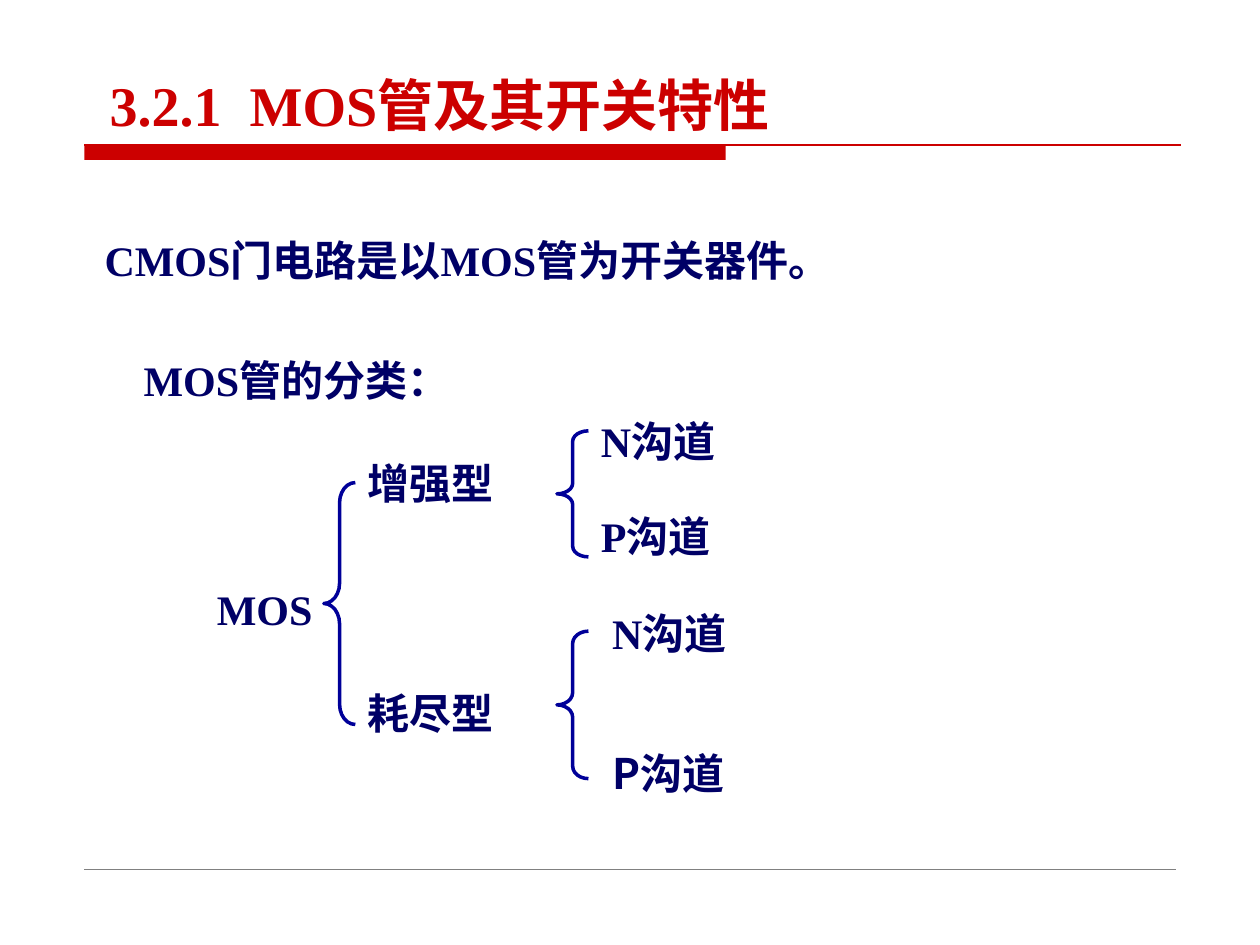
import itertools

import pptx
import pptx.dml.color
import pptx.enum.shapes
import pptx.enum.text
import pptx.oxml
import pptx.oxml.ns
import pptx.util

Inches = pptx.util.Inches
Pt = pptx.util.Pt
RGB = pptx.dml.color.RGBColor.from_string
ALIGN = pptx.enum.text.PP_ALIGN
ANCHOR = pptx.enum.text.MSO_ANCHOR

THEME = {
    "latin": "Times New Roman", "cjk": "Noto Sans CJK SC",
    "title": "CC0000", "text": "000066", "brace": "000099", "footer": "808080",
    "title_size": 32, "text_size": 24,
}

TITLE = ("3.2.1  MOS管及其开关特性", (0.85, 0.55, 5.61, 0.56))
STATEMENTS = [
    ("CMOS门电路是以MOS管为开关器件。", (0.83, 1.86, 8.03, 0.4)),
    ("MOS管的分类：", (1.14, 2.81, 5, 0.4)),
]
ROOT = ("MOS", (1.14, 4.5, 1.92, 0.58))
TYPES = [
    ("增强型", (2.82, 3.5, 2.17, 0.58)),
    ("耗尽型", (2.82, 5.33, 2.23, 0.58)),
]
CHANNELS = [
    ("N沟道", (4.67, 3.17, 2.75, 0.58), THEME["latin"]),
    ("P沟道", (4.67, 3.92, 2.67, 0.58), THEME["latin"]),
    ("N沟道", (4.76, 4.69, 1.49, 0.58), THEME["latin"]),
    ("P沟道", (4.76, 5.8, 2.33, 0.58), THEME["cjk"]),
]
BRACES = [(2.57, 3.83, 1.92), (4.42, 3.42, 1), (4.42, 5.01, 1.17)]
BRACE_WIDTH = 0.25
BRACE_CURVE = 1 / 12
RULE_LEFT, RULE_TOP = 0.67, 1.15

STATEMENT = {
    "frame": {"vertical_anchor": ANCHOR.MIDDLE},
    "paragraph": {"space_before": Pt(15), "alignment": ALIGN.LEFT},
    "insets": (0, 0),
}
LABEL = {
    "frame": {"vertical_anchor": ANCHOR.TOP},
    "paragraph": {"line_spacing": 1.2, "alignment": ALIGN.LEFT},
    "insets": (0.1, 0.05),
}
ROOT_LABEL = {**LABEL, "paragraph": {"line_spacing": 1.2, "alignment": ALIGN.CENTER}}
HEADING = {
    "frame": {"vertical_anchor": ANCHOR.TOP, "word_wrap": False},
    "paragraph": {"alignment": ALIGN.LEFT},
    "insets": (0.02, 0.01),
    "size": THEME["title_size"],
    "color": THEME["title"],
}


def set_all(target, values):
    for name, value in values.items():
        setattr(target, name, value)


def write(sp, text, style, latin=THEME["latin"]):
    tf = sp.text_frame
    dx, dy = (Inches(v) for v in style["insets"])
    set_all(tf, {
        "word_wrap": True,
        "auto_size": pptx.enum.text.MSO_AUTO_SIZE.SHAPE_TO_FIT_TEXT,
        "margin_left": dx, "margin_right": dx,
        "margin_top": dy, "margin_bottom": dy,
        **style["frame"],
    })
    p = tf.paragraphs[0]
    set_all(p, style["paragraph"])
    fonts = lambda char: latin if char.isascii() else THEME["cjk"]
    for font, chars in itertools.groupby(text, fonts):
        r = p.add_run()
        r.text = "".join(chars)
        set_all(r.font, {"name": font, "bold": True,
                         "size": Pt(style.get("size", THEME["text_size"]))})
        r.font.color.rgb = RGB(style.get("color", THEME["text"]))
        ea = pptx.oxml.parse_xml(f'<a:ea {pptx.oxml.ns.nsdecls("a")} typeface="{THEME["cjk"]}"/>')
        r.font._element.find(pptx.oxml.ns.qn("a:latin")).addnext(ea)


def add_text(s, text, box, style, latin=THEME["latin"]):
    write(s.shapes.add_textbox(*map(Inches, box)), text, style, latin)


def add_rule(s, y, right, color, width):
    line = s.shapes.add_connector(
        pptx.enum.shapes.MSO_CONNECTOR.STRAIGHT,
        Inches(RULE_LEFT), Inches(y), Inches(right), Inches(y))
    line.line.color.rgb = RGB(color)
    line.line.width = Pt(width)
    line._element.spPr.append(
        pptx.oxml.parse_xml(f'<a:effectLst {pptx.oxml.ns.nsdecls("a")}/>'))


def add_brace(s, left, top, height):
    sp = s.shapes.add_shape(
        pptx.enum.shapes.MSO_SHAPE.LEFT_BRACE,
        *map(Inches, (left, top, BRACE_WIDTH, height)))
    sp.adjustments[0] = BRACE_CURVE * height / BRACE_WIDTH
    sp.shadow.inherit = False
    sp.fill.background()
    sp.line.color.rgb = RGB(THEME["brace"])
    sp.line.width = Pt(2)


def main():
    prs = pptx.Presentation()
    prs.slide_width, prs.slide_height = Inches(10), Inches(7.5)
    s = prs.slides.add_slide(prs.slide_layouts[5])

    text, box = TITLE
    title = s.shapes.title
    set_all(title, dict(zip(("left", "top", "width", "height"), map(Inches, box))))
    write(title, text, HEADING)

    bar = s.shapes.add_shape(
        pptx.enum.shapes.MSO_SHAPE.RECTANGLE,
        *map(Inches, (RULE_LEFT, RULE_TOP, 5.09, 0.12)))
    bar.shadow.inherit = False
    bar.fill.solid()
    bar.fill.fore_color.rgb = RGB(THEME["title"])
    bar.line.fill.background()
    add_rule(s, RULE_TOP, 9.37, THEME["title"], 0.75)
    add_rule(s, 6.9, 9.33, THEME["footer"], 0.25)

    for text, box in STATEMENTS:
        add_text(s, text, box, STATEMENT)
    add_text(s, *ROOT, ROOT_LABEL)
    for text, box in TYPES:
        add_text(s, text, box, LABEL)
    for text, box, latin in CHANNELS:
        add_text(s, text, box, LABEL, latin)
    for brace in BRACES:
        add_brace(s, *brace)

    prs.save("out.pptx")


if __name__ == "__main__":
    main()
